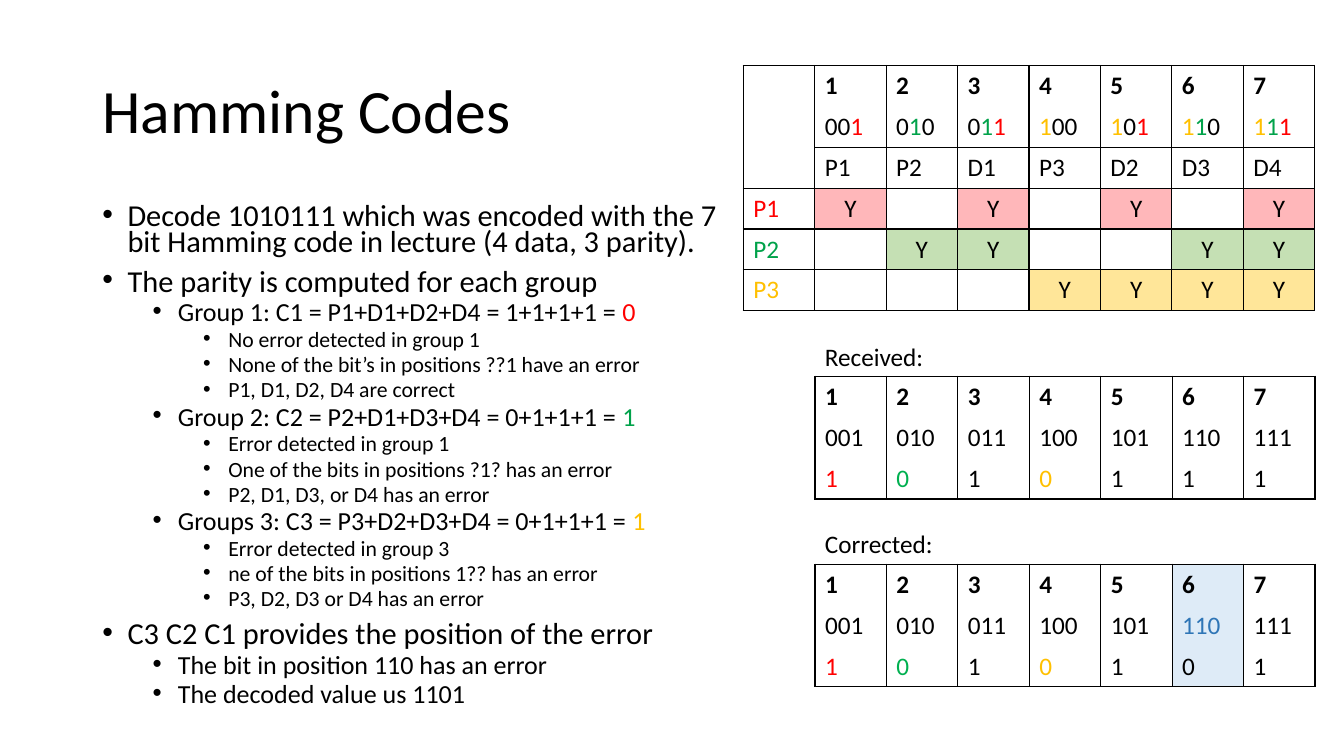
"""Build the Hamming code decoding slide."""
from lxml import etree
from pptx import Presentation
from pptx.dml.color import RGBColor
from pptx.enum import text
from pptx.oxml.ns import qn
from pptx.util import Pt

BLACK, RED, GREEN, GOLD = "000000", "FF0000", "00A24A", "FFC000"
TITLE = "Hamming Codes"
BODY = [
    (0, "Decode 1010111 which was encoded with the 7 bit Hamming code in lecture (4 data, 3 parity)."),
    (0, "The parity is computed for each group"),
    (1, "Group 1: C1 = P1+D1+D2+D4 = 1+1+1+1 = ", "0", RED),
    (2, "No error detected in group 1"),
    (2, "None of the bit’s in positions ??1 have an error"),
    (2, "P1, D1, D2, D4 are correct"),
    (1, "Group 2: C2 = P2+D1+D3+D4 = 0+1+1+1 = ", "1", GREEN),
    (2, "Error detected in group 1"),
    (2, "One of the bits in positions ?1? has an error"),
    (2, "P2, D1, D3, or D4 has an error"),
    (1, "Groups 3: C3 = P3+D2+D3+D4 = 0+1+1+1 = ", "1", GOLD),
    (2, "Error detected in group 3"),
    (2, "ne of the bits in positions 1?? has an error"),
    (2, "P3, D2, D3 or D4 has an error"),
    (0, "C3 C2 C1 provides the position of the error"),
    (1, "The bit in position 110 has an error"),
    (1, "The decoded value us 1101"),
]
LEVELS = [
    {"size": 21.7, "before": 10, "indent": 18},
    {"size": 18.6, "before": 5, "indent": 54},
    {"size": 15.5, "before": 5, "indent": 90},
]
BIT_NAMES = ["P1", "P2", "D1", "P3", "D2", "D3", "D4"]
PARITY = [("P1", RED, "FFB7BA"), ("P2", GREEN, "C5E0B4"), ("P3", GOLD, "FFE699")]
WORD_COLORS = {1: RED, 2: "00B050", 4: GOLD}
WORDS = [
    {"label": "Received:", "bits": "1010111", "label_top": 240.5, "top": 268.8, "error": None},
    {"label": "Corrected:", "bits": "1010101", "label_top": 373.7, "top": 403, "error": 6},
]
ERROR_FILL, ERROR_TEXT = "DEEBF7", "2E75B6"
COL_W, ROW_H = 51.03, 29.2
GRID_LEFT, GRID_TOP = 530.9, 46.8
WORD_LEFT = GRID_LEFT + COL_W + 0.2
LABEL_W = 120
POSITIONS = range(1, 8)


def color(hex_code):
    return RGBColor.from_string(hex_code)


def add_run(p, content, size=18, hex_code=BLACK, bold=False):
    r = p.add_run()
    r.text = content
    for name, value in {"name": "Calibri", "size": Pt(size), "bold": bold}.items():
        setattr(r.font, name, value)
    r.font.color.rgb = color(hex_code)


def add_box(slide, left, top, width, height, **formats):
    tf = slide.shapes.add_textbox(Pt(left), Pt(top), Pt(width), Pt(height)).text_frame
    for name, value in {"word_wrap": True, **formats}.items():
        setattr(tf, name, value)
    return tf


def add_bullet(p, indent):
    pPr = p._p.get_or_add_pPr()
    pPr.set("marL", str(Pt(indent)))
    pPr.set("indent", str(-Pt(18)))
    etree.SubElement(pPr, qn("a:buFont")).set("typeface", "Arial")
    etree.SubElement(pPr, qn("a:buChar")).set("char", "•")


def set_borders(cell, hidden):
    tcPr = cell._tc.get_or_add_tcPr()
    for i, side in enumerate("LRTB"):
        ln = etree.Element(qn(f"a:ln{side}"), w=str(Pt(1)))
        if side in hidden:
            etree.SubElement(ln, qn("a:noFill"))
        else:
            fill = etree.SubElement(ln, qn("a:solidFill"))
            etree.SubElement(fill, qn("a:srgbClr")).set("val", BLACK)
        tcPr.insert(i, ln)


def plain(content, hex_code=BLACK, fill=None, **formats):
    return {"runs": [(content, hex_code)] if content else [], "fill": fill, **formats}


def add_grid(slide, left, top, rows, joined, merge_rows=0):
    n_rows, n_cols = len(rows), len(rows[0])
    table = slide.shapes.add_table(n_rows, n_cols, Pt(left), Pt(top),
                                   Pt(n_cols * COL_W), Pt(n_rows * ROW_H)).table
    table.first_row = table.horz_banding = False
    for col in table.columns:
        col.width = Pt(COL_W)
    for row in table.rows:
        row.height = Pt(ROW_H)
    if merge_rows:
        table.cell(0, 0).merge(table.cell(merge_rows - 1, 0))
    for i, row in enumerate(rows):
        hidden = ("T" if 0 < i < joined else "") + ("B" if i < joined - 1 else "")
        for j, entry in enumerate(row):
            cell = table.cell(i, j)
            p = cell.text_frame.paragraphs[0]
            if entry.get("center"):
                p.alignment = text.PP_ALIGN.CENTER
            for content, hex_code in entry["runs"]:
                add_run(p, content, hex_code=hex_code, bold=entry.get("bold", False))
            if entry["fill"]:
                cell.fill.solid()
                cell.fill.fore_color.rgb = color(entry["fill"])
            else:
                cell.fill.background()
            merged = cell.is_merge_origin or cell.is_spanned
            set_borders(cell, "" if merged else hidden)


def parity_rows():
    bit_colors = [c for _, c, _ in reversed(PARITY)]
    codes = [{"runs": [(b, c if b == "1" else BLACK) for b, c in zip(f"{n:03b}", bit_colors)],
              "fill": None} for n in POSITIONS]
    rows = [[plain("")] + [plain(str(n), bold=True) for n in POSITIONS],
            [plain("")] + codes,
            [plain("")] + [plain(name) for name in BIT_NAMES]]
    for bit, (name, hex_code, fill) in enumerate(PARITY):
        marks = [plain("Y", fill=fill, center=True) if n >> bit & 1 else plain("")
                 for n in POSITIONS]
        rows.append([plain(name, hex_code)] + marks)
    return rows


def word_rows(bits, error):
    fills = {error: ERROR_FILL}
    return [[plain(str(n), fill=fills.get(n), bold=True) for n in POSITIONS],
            [plain(f"{n:03b}", ERROR_TEXT if n == error else BLACK, fills.get(n))
             for n in POSITIONS],
            [plain(b, WORD_COLORS.get(n, BLACK), fills.get(n))
             for n, b in zip(POSITIONS, bits)]]


def main():
    prs = Presentation()
    prs.slide_width, prs.slide_height = Pt(960), Pt(540)
    slide = prs.slides.add_slide(prs.slide_layouts[6])

    tf = add_box(slide, 66.2, 28.8, 828, 104.4, vertical_anchor=text.MSO_ANCHOR.MIDDLE)
    tf.paragraphs[0].line_spacing = 0.9
    add_run(tf.paragraphs[0], TITLE, 44)

    tf = add_box(slide, 66, 144, 471.6, 378)
    for i, (level, content, *result) in enumerate(BODY):
        p = tf.add_paragraph() if i else tf.paragraphs[0]
        style = LEVELS[level]
        p.level, p.line_spacing = level, 0.7
        p.space_before = Pt(style["before"] if i else 0)
        add_bullet(p, style["indent"])
        add_run(p, content, style["size"])
        if result:
            add_run(p, result[0], style["size"], result[1])

    add_grid(slide, GRID_LEFT, GRID_TOP, parity_rows(), joined=2, merge_rows=3)
    for word in WORDS:
        add_grid(slide, WORD_LEFT, word["top"], word_rows(word["bits"], word["error"]), joined=3)
        tf = add_box(slide, WORD_LEFT, word["label_top"], LABEL_W, 29)
        add_run(tf.paragraphs[0], word["label"])
    prs.save("out.pptx")


if __name__ == "__main__":
    main()
